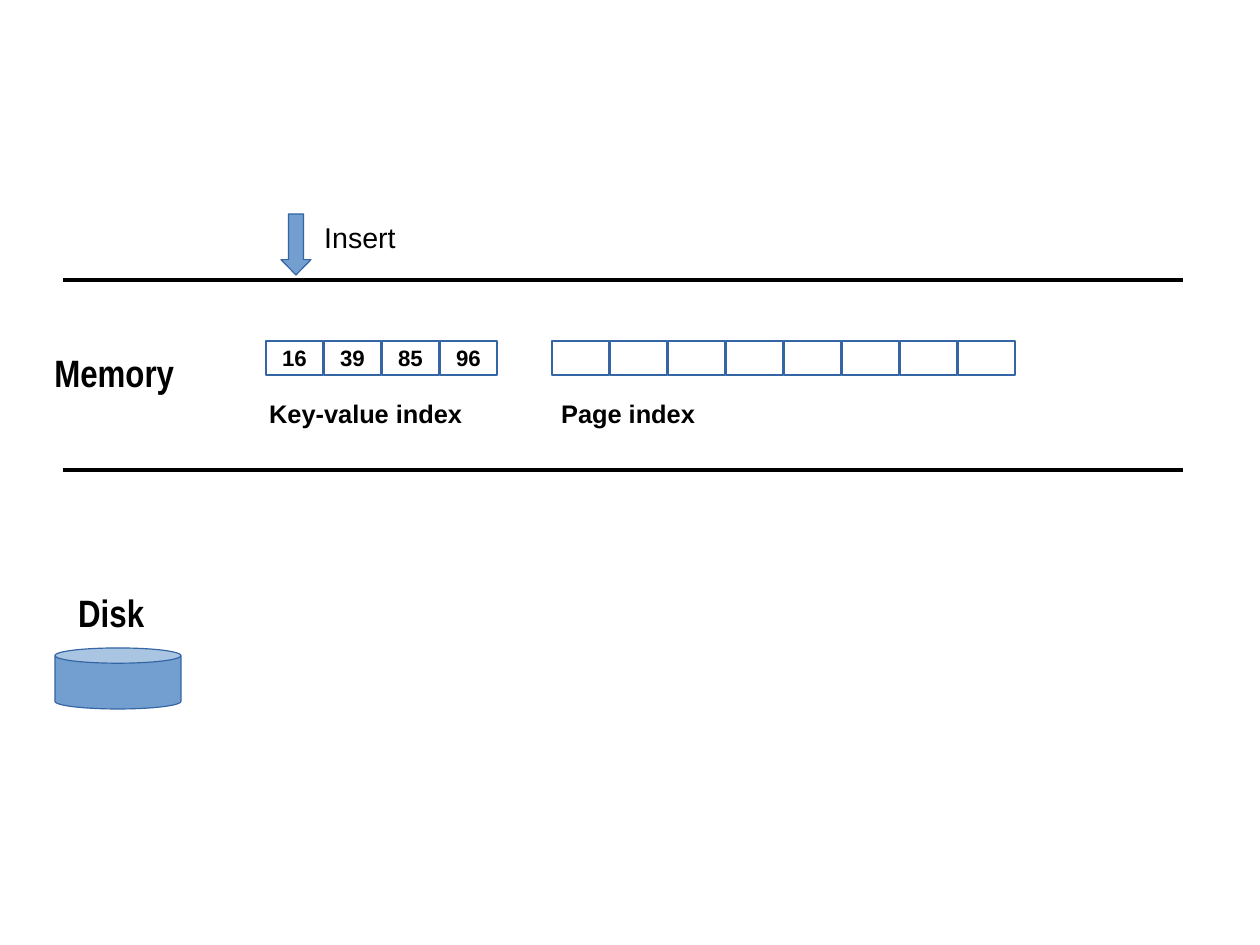
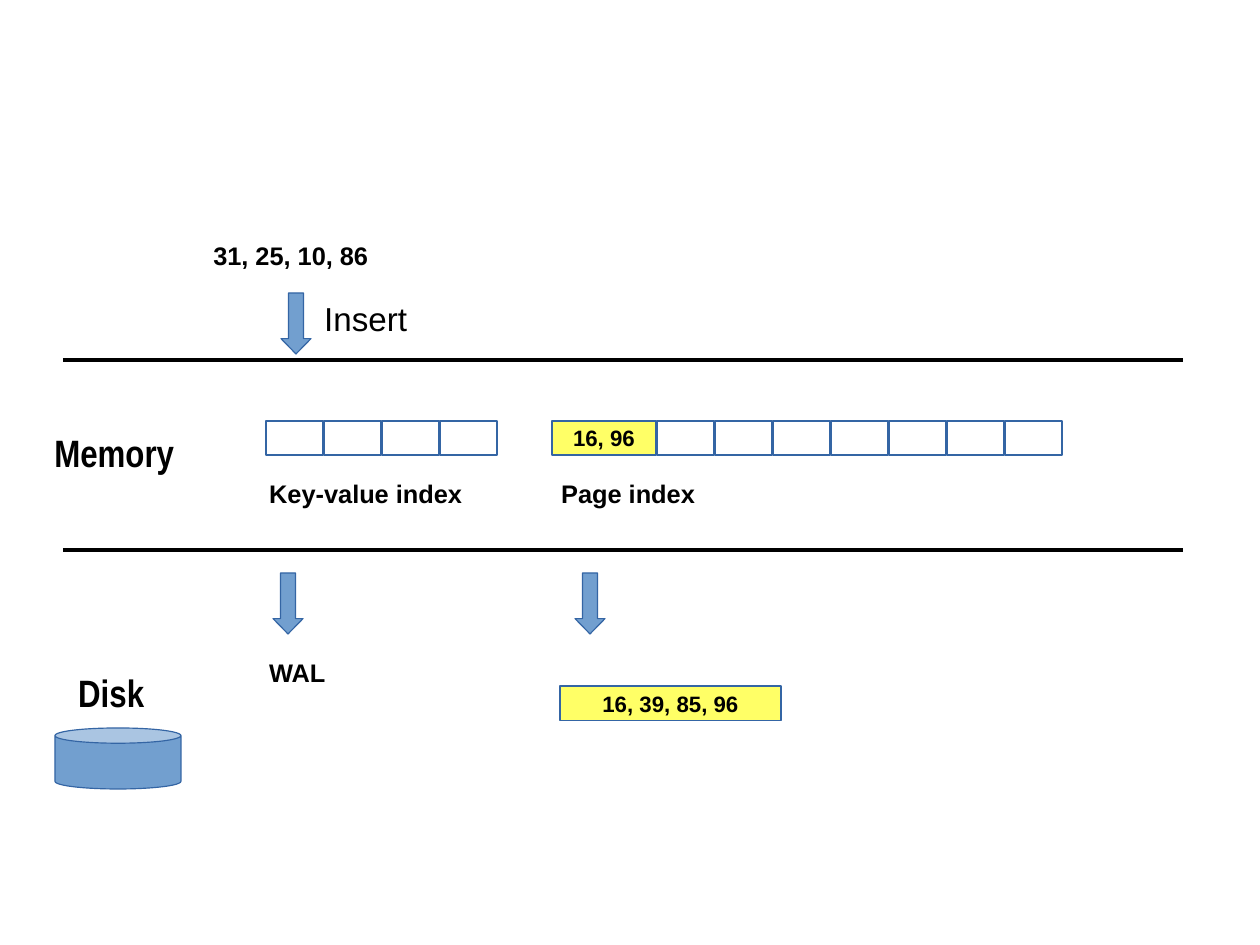
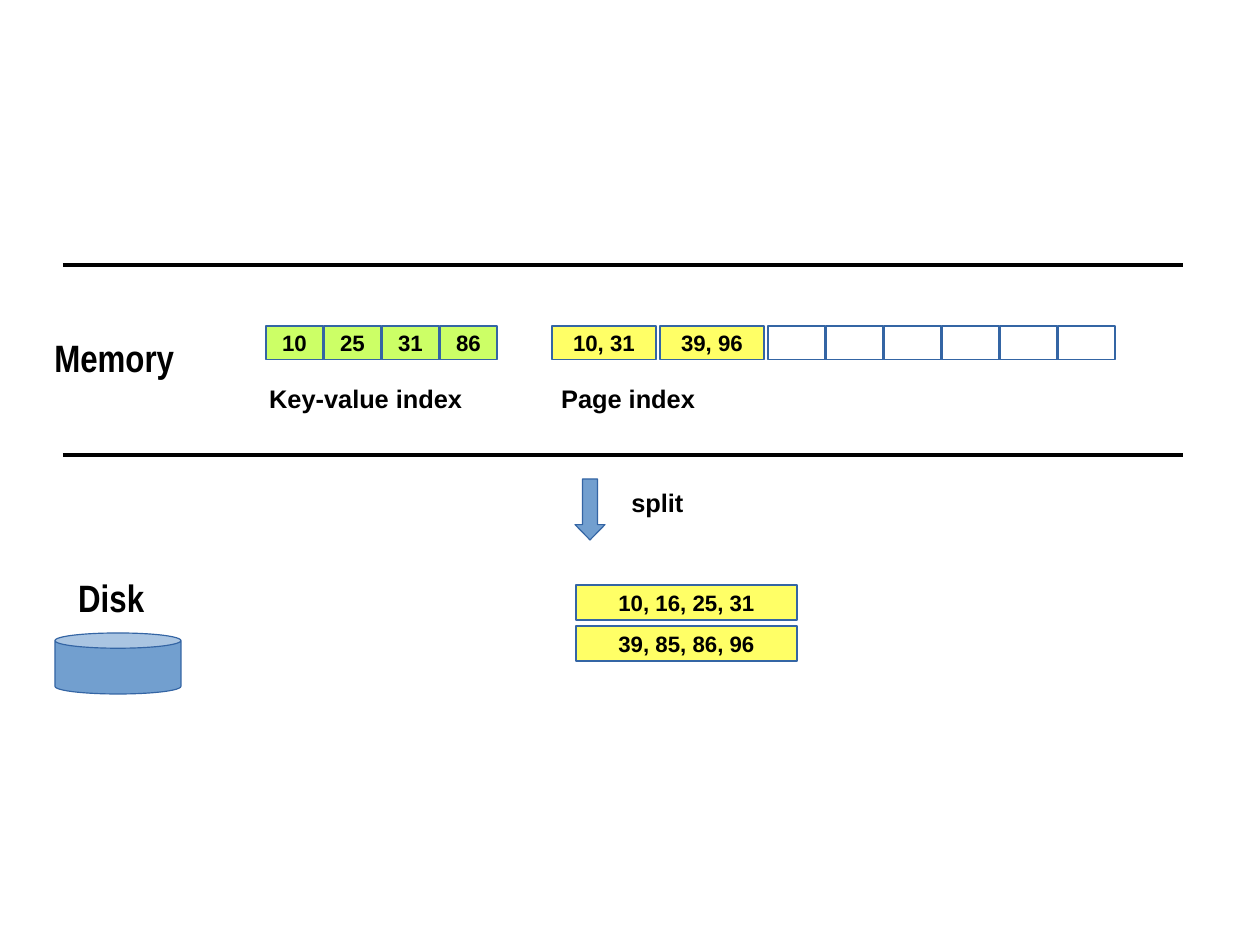
from lxml import etree
from pptx import Presentation
from pptx.dml.color import RGBColor
from pptx.enum.shapes import MSO_CONNECTOR, MSO_SHAPE
from pptx.enum.text import MSO_ANCHOR, PP_ALIGN
from pptx.oxml.ns import qn
from pptx.util import Pt

PX = 8000  # EMU in one px
RECT, CAN, DOWN = MSO_SHAPE.RECTANGLE, MSO_SHAPE.CAN, MSO_SHAPE.DOWN_ARROW
LINE = MSO_CONNECTOR.STRAIGHT
MID, CENTER, LEFT = MSO_ANCHOR.MIDDLE, PP_ALIGN.CENTER, PP_ALIGN.LEFT
BLUE, EDGE, BLACK = "729FCF", "3465A4", "000000"
YELLOW, GREEN = "FFFF66", "CCFF66"
NARROW, WIDE, HIGH = 57, 104, 34  # cell sizes


def put(kind, x, y, w, h, fill=None, text=""):
    """Add an outlined shape, with bold centred text if any."""
    shape = slide.shapes.add_shape(kind, x * PX, y * PX, w * PX, h * PX)
    shape.shadow.inherit = False
    if fill:
        shape.fill.solid()
        shape.fill.fore_color.rgb = RGBColor.from_string(fill)
    else:
        shape.fill.background()
    shape.line.color.rgb = RGBColor.from_string(EDGE)
    shape.line.width = 0
    if text:
        write(shape.text_frame, text, 14, align=CENTER)
        shape.text_frame.vertical_anchor = MID
    return shape


def write(frame, text, size, face="Arial", bold=True, align=LEFT, wrap=False):
    """Fill a text frame with one styled line."""
    frame.word_wrap = wrap
    para = frame.paragraphs[0]
    para.text, para.alignment = text, align
    font = para.font
    font.size, font.name, font.bold = Pt(size), face, bold
    font.color.rgb = RGBColor.from_string(BLACK)


# Labels on every slide: text, x, y below the top line, width, height, size, face
COMMON = [
    ("Memory", 43, 64, 202, 74, 24, "Arial Narrow"),
    ("Disk", 67, 304, 137, 74, 24, "Arial Narrow"),
    ("Key-value index", 258, 113, 247, 53, 16, "Arial"),
    ("Page index", 550, 113, 247, 53, 16, "Arial"),
]

# What differs; every y counts from the top line of the memory band
SLIDES = [
    dict(top=280, keys=["16", "39", "85", "96"], tint=None,
         pages=[], gap=1, free=8,
         arrows=[(281, -66)], blocks=[], notes=[],
         insert=(-66, 18)),
    dict(top=360, keys=[""] * 4, tint=None,
         pages=["16, 96"], gap=1, free=7,
         arrows=[(281, -67), (273, 213), (575, 213)],
         blocks=[("16, 39, 85, 96", 560, 326)],
         notes=[("31, 25, 10, 86", 202, -125, 195), ("WAL", 258, 292, 123)],
         insert=(-67, 20.9)),
    dict(top=265, keys=["10", "25", "31", "86"], tint=GREEN,
         pages=["10, 31", "39, 96"], gap=4, free=6,
         arrows=[(575, 214)],
         blocks=[("10, 16, 25, 31", 576, 320), ("39, 85, 86, 96", 576, 361)],
         notes=[("split", 620, 217, 247)],
         insert=None),
]

prs = Presentation()
prs.slide_width, prs.slide_height = 1260 * PX, 945 * PX

for data in SLIDES:
    slide = prs.slides.add_slide(prs.slide_layouts[6])
    top = data["top"]

    # Lines around the memory band
    for y in (top, top + 190):
        rule = slide.shapes.add_connector(LINE, 63 * PX, y * PX, 1183 * PX, y * PX)
        rule.line.color.rgb = RGBColor.from_string(BLACK)
        rule.line.width = 0
        etree.SubElement(rule._element.spPr, qn("a:effectLst"))

    # Key-value cells
    row = top + 61
    for i, key in enumerate(data["keys"]):
        put(RECT, 266 + i * (NARROW + 1), row, NARROW, HIGH, data["tint"], key)

    # Page cells: used ones first, then free ones
    x = 552
    for page in data["pages"]:
        put(RECT, x, row, WIDE, HIGH, YELLOW, page)
        x += WIDE + data["gap"]
    for i in range(data["free"]):
        put(RECT, x + i * (NARROW + 1), row, NARROW, HIGH)

    # Disk and its blocks
    put(CAN, 55, top + 368, 126, 61, BLUE)
    for text, x, y in data["blocks"]:
        put(RECT, x, top + y, 221, 35, YELLOW, text)

    # Arrows
    for x, y in data["arrows"]:
        arrow = put(DOWN, x, top + y, 30, 61, BLUE)
        arrow.adjustments[1] = 0.51

    # Labels
    labels = COMMON + [(text, x, y, w, 53, 16, "Arial")
                       for text, x, y, w in data["notes"]]
    if data["insert"]:
        y, size = data["insert"]
        labels.append(("Insert", 313, y, 117, 65, size, "Arial"))
    for text, x, y, w, h, size, face in labels:
        box = slide.shapes.add_textbox(x * PX, (top + y) * PX, w * PX, h * PX)
        write(box.text_frame, text, size, face, bold=text != "Insert", wrap=True)

prs.save("out.pptx")
